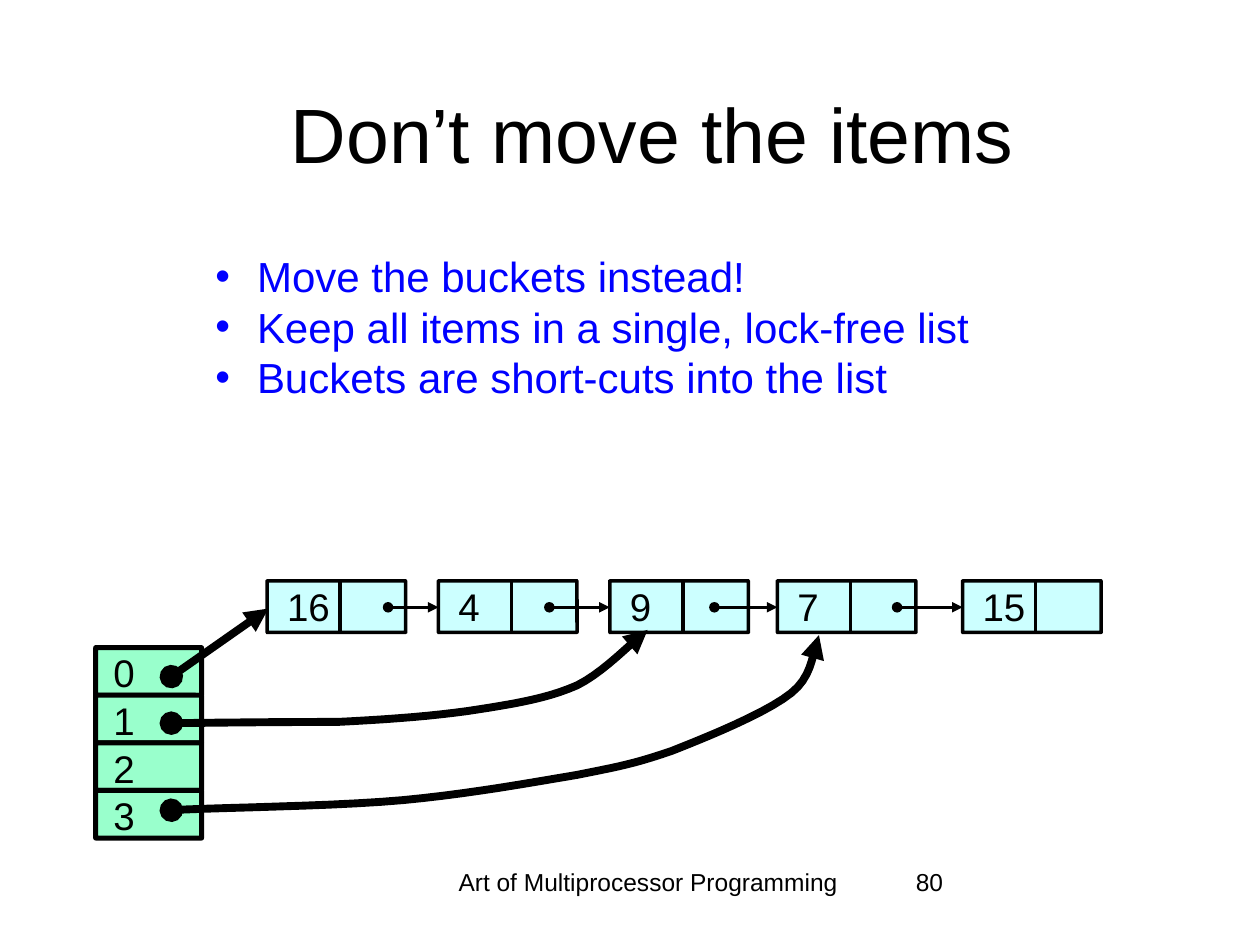
import pptx
import pptx.dml.color
import pptx.enum.shapes
import pptx.enum.text
import pptx.oxml.ns
import pptx.util
from lxml import etree

COLORS = {"ink": "000000", "bullet": "0000FF", "node": "CCFFFF", "bucket": "99FFCC"}
FONT = "Arial"

# Positions are columns and rows of a grid of 100 by 75 square cells.
CELL = pptx.util.Inches(0.1)
NODE_TOP, NODE_W, NODE_H, NODE_SPLIT = 46.1, 11, 4.1, 5.8
LINK_ROW = 48.2
BUCKET_LEFT, BUCKET_TOP, BUCKET_W, BUCKET_H = 7.6, 51.4, 8.4, 3.78
POINTER_COL = 13.6

# Value, left column, column where the link to the next node starts
NODES = [("16", 21.2, 30.8), ("4", 34.8, 43.6), ("9", 48.4, 56.7),
         ("7", 61.7, 71.2), ("15", 76.4, None)]
BULLETS = ["Move the buckets instead!",
           "Keep all items in a single, lock-free list",
           "Buckets are short-cuts into the list"]

# Start point, then Bézier segments of two control points and an end point
POINTER_TO_9 = [(POINTER_COL, 57.4),
                [(18, 57.35), (22.4, 57.3), (26.8, 57.3)],
                [(30.9, 57.1), (34.9, 56.8), (38, 56.3)],
                [(41.2, 55.8), (43.5, 55.4), (45.8, 54.4)],
                [(48, 53.3), (50.2, 50.9), (51.4, 50)]]
POINTER_TO_7 = [(POINTER_COL, 64.3),
                [(16.7, 64.1), (26.6, 64), (32, 63.5)],
                [(37.3, 63), (42.2, 62.1), (45.8, 61.5)],
                [(49.3, 60.8), (50.4, 60.6), (53.3, 59.6)],
                [(56.1, 58.5), (60.8, 56.6), (62.8, 55)],
                [(64.7, 53.5), (64.5, 51.3), (65, 50.4)]]


def grid(*cells):
    return [round(n * CELL) for n in cells]


def rgb(name):
    return pptx.dml.color.RGBColor.from_string(COLORS[name])


def add_run(p, text, size, color="ink"):
    r = p.add_run()
    r.text = text
    r.font.name = FONT
    r.font.size = pptx.util.Pt(size)
    r.font.color.rgb = rgb(color)


def add_label(s, text, box, size, align=None, wrap=False, inset=True, spacing=None):
    tf = s.shapes.add_textbox(*grid(*box)).text_frame
    tf.word_wrap = wrap
    if not inset:
        tf.margin_left = tf.margin_right = tf.margin_top = tf.margin_bottom = 0
    p = tf.paragraphs[0]
    p.alignment = align
    p.line_spacing = spacing
    add_run(p, text, size)


def add_box(s, box, fill, width):
    sp = s.shapes.add_shape(pptx.enum.shapes.MSO_SHAPE.ROUNDED_RECTANGLE, *grid(*box))
    sp.adjustments[0] = 0.004
    sp.shadow.inherit = False
    sp.fill.solid()
    sp.fill.fore_color.rgb = rgb(fill)
    set_line(sp, width)


def set_line(sp, width, pointer=False):
    """Ink the outline; a pointer starts with a dot and ends with an arrowhead."""
    sp.line.color.rgb = rgb("ink")
    sp.line.width = pptx.util.Pt(width)
    if pointer:
        ln = sp.line._get_or_add_ln()
        for tag, kind in (("a:headEnd", "oval"), ("a:tailEnd", "triangle")):
            etree.SubElement(ln, pptx.oxml.ns.qn(tag), type=kind)


def add_line(s, start, end, width, pointer=False):
    sp = s.shapes.add_connector(pptx.enum.shapes.MSO_CONNECTOR.STRAIGHT,
                                *grid(*start, *end))
    set_line(sp, width, pointer)
    etree.SubElement(sp._element.spPr, pptx.oxml.ns.qn("a:effectLst"))


def bezier(p0, p1, p2, p3, steps=10):
    """Points along a cubic curve, without its first one."""
    for i in range(1, steps + 1):
        t = i / steps
        u = 1 - t
        yield tuple(grid(*(u**3 * a + 3 * u * u * t * b + 3 * u * t * t * c + t**3 * d
                           for a, b, c, d in zip(p0, p1, p2, p3))))


def add_curve(s, curve, width):
    start, *segments = curve
    builder = s.shapes.build_freeform(*grid(*start))
    for segment in segments:
        builder.add_line_segments(list(bezier(start, *segment)), close=False)
        start = segment[-1]
    sp = builder.convert_to_shape()
    sp.shadow.inherit = False
    sp.fill.background()
    set_line(sp, width, pointer=True)


def place(sp, box):
    sp.left, sp.top, sp.width, sp.height = grid(*box)
    sp.text_frame.auto_size = pptx.enum.text.MSO_AUTO_SIZE.NONE
    return sp.text_frame


def add_title(s, text):
    tf = place(s.shapes.title, (9.1, 4.5, 85.4, 12.1))
    tf.vertical_anchor = pptx.enum.text.MSO_ANCHOR.MIDDLE
    p = tf.paragraphs[0]
    p.alignment = pptx.enum.text.PP_ALIGN.CENTER
    add_run(p, text, 44)


def add_bullets(s, items):
    tf = place(s.placeholders[1], (16.1, 19.4, 67.7, 17.2))
    hang = grid(3.3)[0]
    for i, item in enumerate(items):
        p = tf.add_paragraph() if i else tf.paragraphs[0]
        p.space_before = pptx.util.Pt(0)
        p.line_spacing = 1.0
        pPr = p._p.get_or_add_pPr()
        pPr.set("marL", str(hang))
        pPr.set("indent", str(-hang))
        add_run(p, item, 24, "bullet")


def add_node(s, value, left):
    add_box(s, (left, NODE_TOP, NODE_W, NODE_H), "node", 2)
    split = left + NODE_SPLIT
    add_line(s, (split, NODE_TOP), (split, NODE_TOP + NODE_H), 2)
    add_label(s, value, (left + 0.6, 45.8, 2.3 + 1.8 * len(value), 4.6), 22)


def add_bucket(s, index):
    top = BUCKET_TOP + index * BUCKET_H
    add_box(s, (BUCKET_LEFT, top, BUCKET_W, BUCKET_H), "bucket", 2.83)
    add_label(s, str(index), (BUCKET_LEFT + 1.4, top - 0.4, 1.8, 3.9), 22,
              inset=False, spacing=1.15)


def main():
    prs = pptx.Presentation()
    prs.slide_width, prs.slide_height = grid(100, 75)
    s = prs.slides.add_slide(prs.slide_layouts[1])

    add_title(s, "Don’t move the items")
    add_bullets(s, BULLETS)
    add_label(s, "Art of Multiprocessor Programming", (34.2, 68.3, 34.5, 5), 14,
              pptx.enum.text.PP_ALIGN.CENTER, wrap=True)
    add_label(s, "80", (71.7, 68.3, 20.8, 5), 14, wrap=True)

    for value, left, _ in NODES:
        add_node(s, value, left)
    for (_, _, start), (_, target, _) in zip(NODES, NODES[1:]):
        add_line(s, (start, LINK_ROW), (target, LINK_ROW), 2, pointer=True)

    for index in range(4):
        add_bucket(s, index)
    add_line(s, (POINTER_COL, 53.7), (21.3, 48.3), 4.5, pointer=True)
    for curve in (POINTER_TO_9, POINTER_TO_7):
        add_curve(s, curve, 4.5)

    prs.save("out.pptx")


if __name__ == "__main__":
    main()
